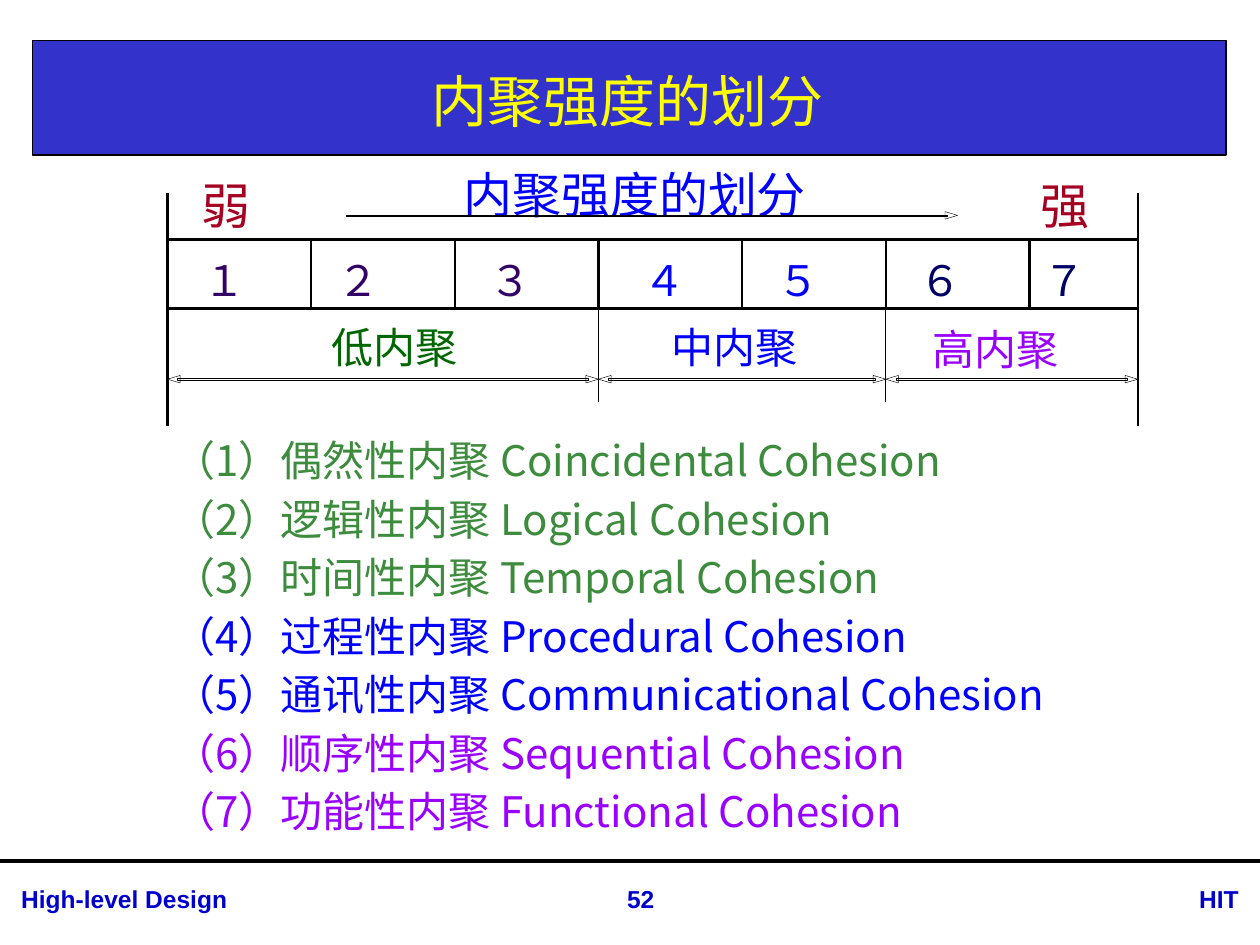
"""Build the slide that ranks seven kinds of cohesion from weak to strong."""
from dataclasses import dataclass

from lxml import etree
from pptx import Presentation
from pptx.dml.color import RGBColor
from pptx.enum.shapes import MSO_CONNECTOR, MSO_SHAPE
from pptx.enum.text import MSO_ANCHOR, PP_ALIGN
from pptx.oxml.ns import qn
from pptx.util import Inches, Pt

LEFT, CENTER, RIGHT = PP_ALIGN.LEFT, PP_ALIGN.CENTER, PP_ALIGN.RIGHT
TOP, MIDDLE = MSO_ANCHOR.TOP, MSO_ANCHOR.MIDDLE
STRAIGHT, RECTANGLE = MSO_CONNECTOR.STRAIGHT, MSO_SHAPE.RECTANGLE


@dataclass(frozen=True)
class Theme:
    """Fonts, type sizes and colours of the slide."""
    body_font: str = "Noto Sans CJK SC"
    footer_font: str = "Arial"
    title_size: int = 32
    heading_size: int = 28
    body_size: int = 24
    footer_size: int = 14
    line_height: float = 1.29
    list_gap: float = 2.5
    black: str = "000000"
    banner: str = "3333CC"
    title: str = "FFFF00"
    footer: str = "0000CC"
    blue: str = "0000FF"
    red: str = "A50021"
    indigo: str = "330066"
    navy: str = "000066"
    dark_green: str = "006600"
    green: str = "3D8B3D"
    purple: str = "9900FF"


THEME = Theme()
WIDTH, HEIGHT = 10, 7.5
HEADING = "内聚强度的划分"
FOOTERS = [
    ("High-level Design", 0.07, 3.85, LEFT),
    ("HIT", 8.9, 1.03, RIGHT),
    ("52", 4.57, 1.03, CENTER),
]
LEVELS = [
    ("１", 1.6, THEME.indigo), ("２", 2.66, THEME.indigo),
    ("３", 3.87, THEME.indigo), ("４", 5.09, THEME.blue),
    ("５", 6.15, THEME.blue), ("６", 7.28, THEME.navy),
    ("７", 8.26, THEME.navy),
]
EXTREMES = [("弱", 1.45, 0.69), ("强", 8.24, 0.43)]
BANDS = [
    ("低内聚", 2.2, 2.52, THEME.dark_green),
    ("中内聚", 4.9, 2.52, THEME.blue),
    ("高内聚", 6.97, 2.54, THEME.purple),
]
COHESIONS = [
    ("（1）偶然性内聚 Coincidental Cohesion", THEME.green),
    ("（2）逻辑性内聚 Logical Cohesion", THEME.green),
    ("（3）时间性内聚 Temporal Cohesion", THEME.green),
    ("（4）过程性内聚 Procedural Cohesion", THEME.blue),
    ("（5）通讯性内聚 Communicational Cohesion", THEME.blue),
    ("（6）顺序性内聚 Sequential Cohesion", THEME.purple),
    ("（7）功能性内聚 Functional Cohesion", THEME.purple),
]

SCALE_LEFT, SCALE_RIGHT, COLUMN = 1.33, 9.03, 1.14
EDGES = [SCALE_LEFT + COLUMN * i for i in range(len(LEVELS))] + [SCALE_RIGHT]
BAND_EDGES = [EDGES[i] for i in (0, 3, 5, 7)]
ROW_TOP, ROW_BOTTOM = 1.9, 2.45
SIDE_TOP, SIDE_BOTTOM, BAND_BOTTOM = 1.53, 3.38, 3.19
BAND_ARROW_Y, STRENGTH_ARROW_Y = 3.01, 1.71
HEAD_LENGTH, HEAD_HALF, SHAFT_INSET, SHAFT_HALF = 0.1, 0.03, 0.08, 0.01


def style(paragraph, color, size, font=THEME.body_font, bold=False):
    """Set the shared font of a paragraph for Latin and East Asian text."""
    paragraph.font.size = Pt(size)
    paragraph.font.bold = bold
    paragraph.font.color.rgb = RGBColor.from_string(color)
    paragraph.font.name = font
    properties = paragraph._p.pPr.find(qn("a:defRPr"))
    etree.SubElement(properties, qn("a:ea")).set("typeface", font)


def add_text(slide, box, lines, size, align=LEFT, anchor=TOP, inset=False,
             tight=True, font=THEME.body_font, bold=False):
    """Add a text box holding one paragraph per (text, colour) line."""
    frame = slide.shapes.add_textbox(*map(Inches, box)).text_frame
    frame.word_wrap = True
    frame.vertical_anchor = anchor
    if not inset:
        frame.margin_left = frame.margin_right = 0
        frame.margin_top = frame.margin_bottom = 0
    for index, (text, color) in enumerate(lines):
        paragraph = frame.add_paragraph() if index else frame.paragraphs[0]
        paragraph.text = text
        paragraph.alignment = align
        if tight:
            paragraph.line_spacing = Pt(size * THEME.line_height)
        if index:
            paragraph.space_before = Pt(THEME.list_gap)
        style(paragraph, color, size, font, bold)


def add_line(slide, start, end, weight):
    """Add a straight black line without a shadow."""
    line = slide.shapes.add_connector(STRAIGHT, *map(Inches, start + end))
    line.line.color.rgb = RGBColor.from_string(THEME.black)
    line.line.width = Pt(weight)
    etree.SubElement(line._element.spPr, qn("a:effectLst"))


def add_arrow(slide, left, right, y, double=True):
    """Add a hollow arrow with a thin shaft and one or two heads."""
    shaft_left = left + SHAFT_INSET if double else left
    shaft_right = right - SHAFT_INSET
    high, low = y - SHAFT_HALF / 2, y + SHAFT_HALF / 2
    outlines = [[(shaft_left, high), (shaft_right, high),
                 (shaft_right, low), (shaft_left, low)]]
    heads = [(right, right - HEAD_LENGTH)]
    if double:
        heads.append((left, left + HEAD_LENGTH))
    for tip, base in heads:
        outlines.append([(base, y - HEAD_HALF), (tip, y), (base, y + HEAD_HALF)])
    contours = [[(Inches(x), Inches(v)) for x, v in points] for points in outlines]
    builder = slide.shapes.build_freeform(*contours[0][0])
    for index, points in enumerate(contours):
        if index:
            builder.move_to(*points[0])
        builder.add_line_segments(points[1:], close=True)
    arrow = builder.convert_to_shape()
    arrow.shadow.inherit = False
    arrow.fill.background()
    arrow.line.color.rgb = RGBColor.from_string(THEME.black)
    arrow.line.width = Pt(0.25)


def add_frame(slide):
    """Add the title banner and the footer."""
    banner = slide.shapes.add_shape(RECTANGLE, *map(Inches, (0.26, 0.32, 9.47, 0.91)))
    banner.shadow.inherit = False
    banner.fill.solid()
    banner.fill.fore_color.rgb = RGBColor.from_string(THEME.banner)
    banner.line.color.rgb = RGBColor.from_string(THEME.black)
    banner.line.width = Pt(0.75)
    add_line(slide, (0, 6.83), (WIDTH, 6.83), 2.25)
    for text, left, width, align in FOOTERS:
        add_text(slide, (left, 6.97, width, 0.34), [(text, THEME.footer)],
                 THEME.footer_size, align, inset=True, tight=False,
                 font=THEME.footer_font, bold=True)
    add_text(slide, (0.26, 0.36, 9.45, 0.87), [(HEADING, THEME.title)],
             THEME.title_size, CENTER, MIDDLE, inset=True, tight=False)


def add_scale(slide):
    """Add the seven-step scale with its bands, arrows and labels."""
    add_text(slide, (3.58, 1.22, 3.7, 0.49), [(HEADING, THEME.blue)],
             THEME.heading_size, inset=True)
    for y in (ROW_TOP, ROW_BOTTOM):
        add_line(slide, (SCALE_LEFT, y), (SCALE_RIGHT, y), 1.38)
    for x in EDGES[1:-1]:
        add_line(slide, (x, ROW_TOP), (x, ROW_BOTTOM), 1.38)
    for x in (SCALE_LEFT, SCALE_RIGHT):
        add_line(slide, (x, SIDE_TOP), (x, SIDE_BOTTOM), 1.38)
    for x in BAND_EDGES[1:-1]:
        add_line(slide, (x, ROW_BOTTOM), (x, BAND_BOTTOM), 0.63)
    add_arrow(slide, 2.75, 7.6, STRENGTH_ARROW_Y, double=False)
    for left, right in zip(BAND_EDGES, BAND_EDGES[1:]):
        add_arrow(slide, left, right, BAND_ARROW_Y)
    for text, left, color in LEVELS:
        add_text(slide, (left, 1.99, 0.37, 0.32), [(text, color)],
                 THEME.body_size, CENTER)
    for text, left, width in EXTREMES:
        add_text(slide, (left, 1.36, width, 0.37), [(text, THEME.red)],
                 THEME.heading_size, CENTER)
    for text, left, top, color in BANDS:
        add_text(slide, (left, top, 1.86, 0.31), [(text, color)],
                 THEME.body_size, CENTER)


def main():
    """Assemble and save the slide."""
    presentation = Presentation()
    presentation.slide_width, presentation.slide_height = Inches(WIDTH), Inches(HEIGHT)
    slide = presentation.slides.add_slide(presentation.slide_layouts[6])
    add_frame(slide)
    add_scale(slide)
    add_text(slide, (1.28, 3.37, 8.34, 3.41), COHESIONS, THEME.body_size, inset=True)
    presentation.save("out.pptx")


if __name__ == "__main__":
    main()
